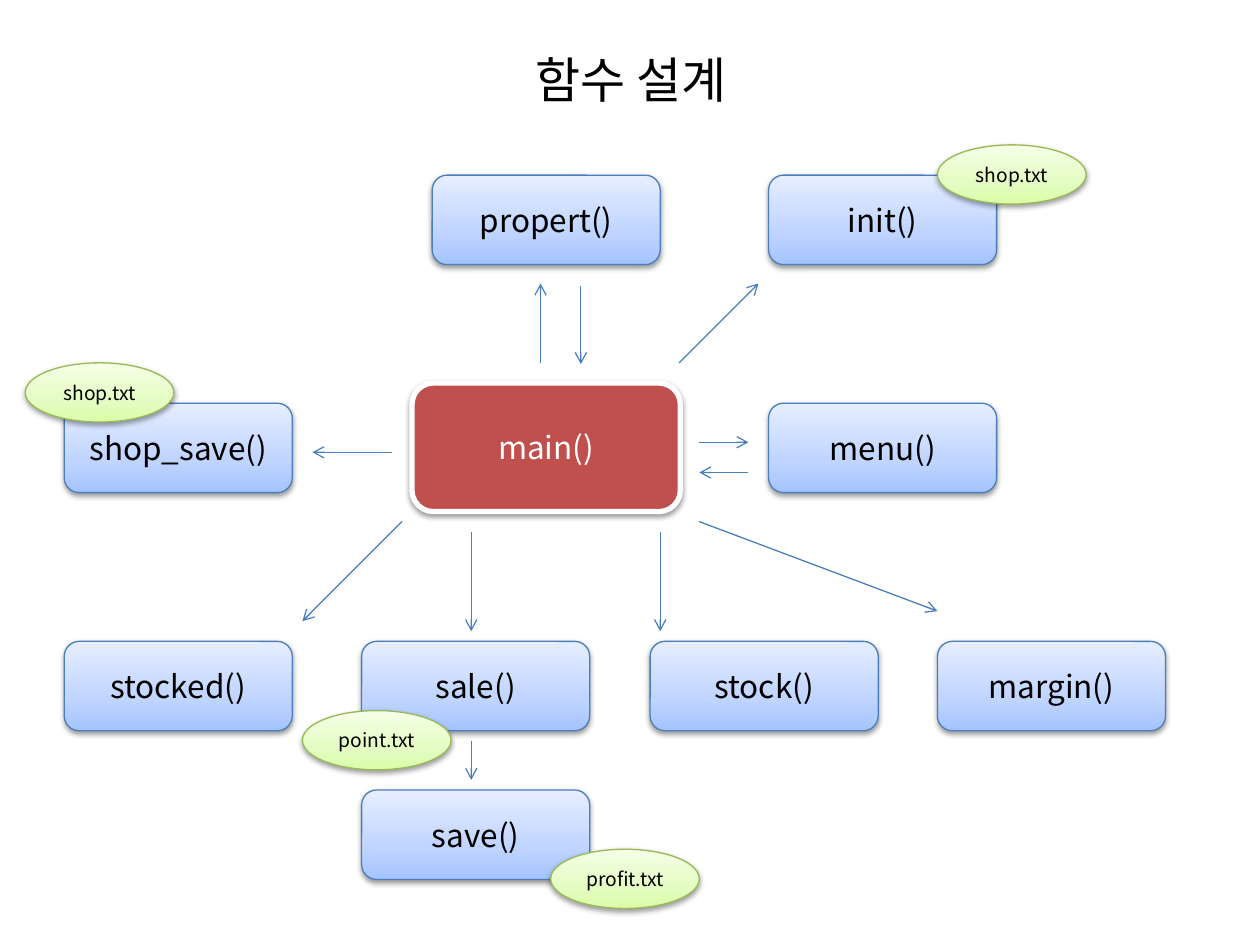
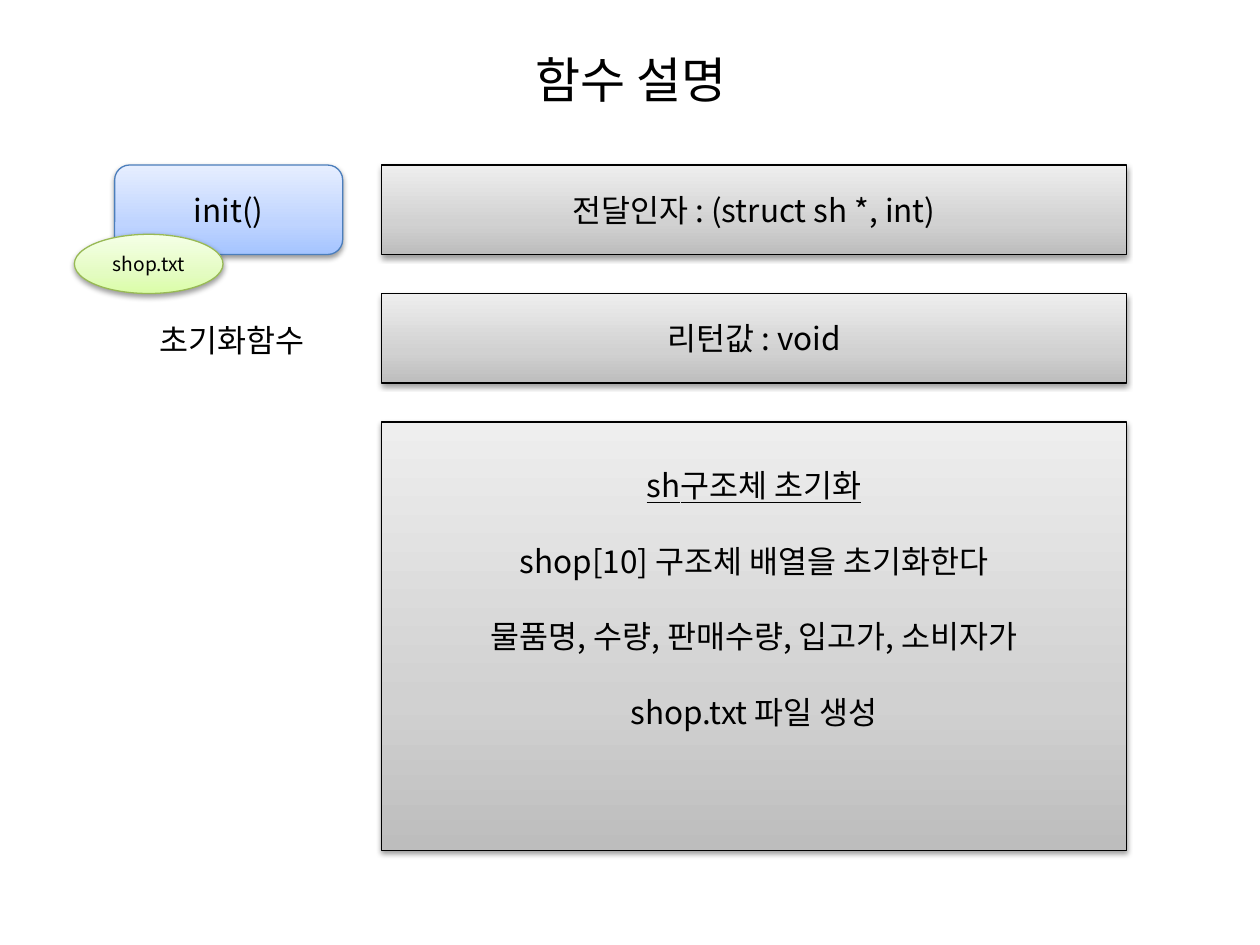
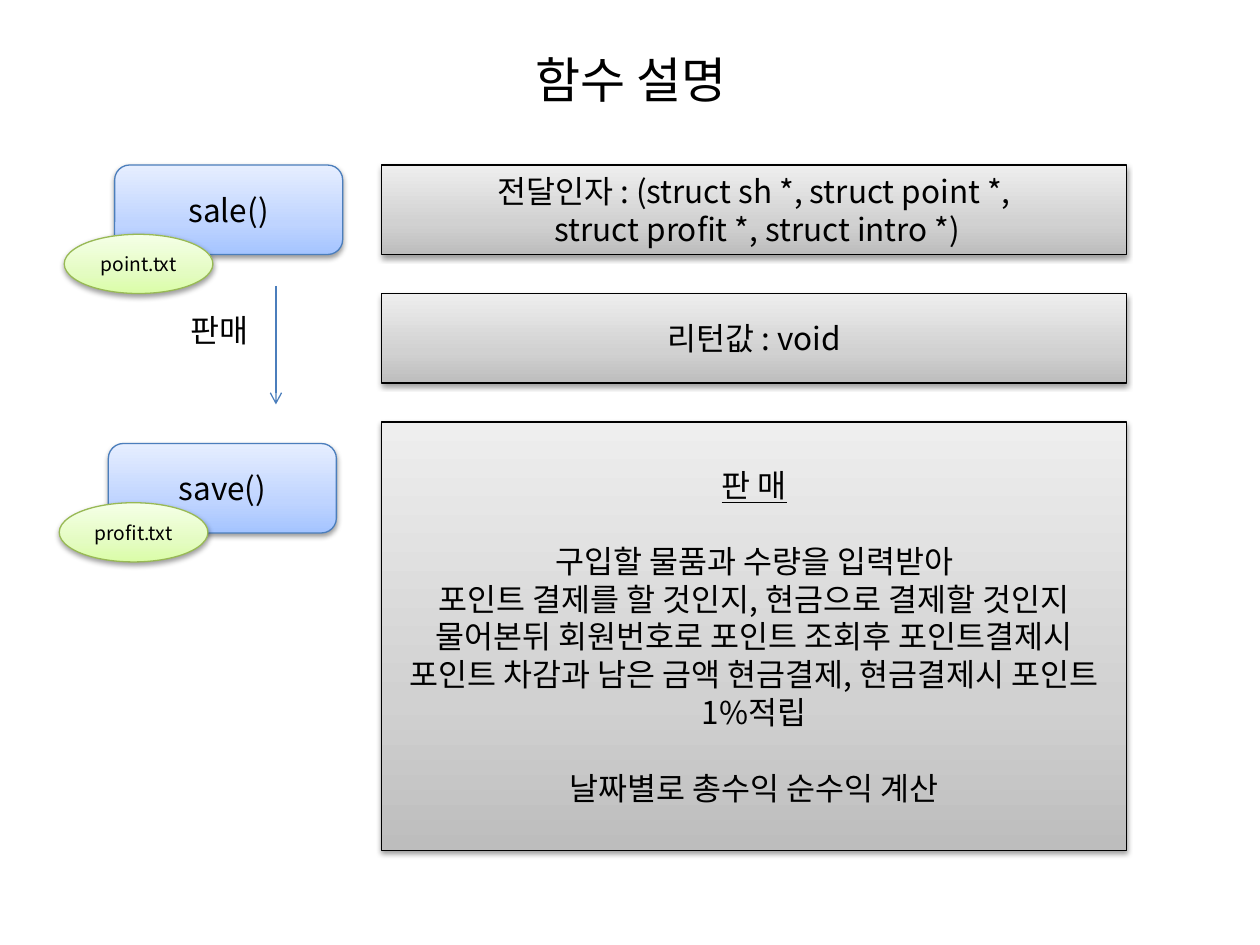
from copy import deepcopy
from dataclasses import dataclass

from lxml import etree
from pptx import Presentation
from pptx.dml.color import RGBColor
from pptx.enum import shapes, text
from pptx.oxml.ns import qn
from pptx.util import Inches, Pt

FONT = "Noto Sans CJK KR"
BLACK, WHITE, RED, BLUE_LINE = "000000", "FFFFFF", "C0504D", "4B7EBC"
BLUE = ("A4C4FF", "BFD4FF", "E6EEFF")
GREEN = ("DAFDA7", "E4FCC2", "F5FFE7")
GREY = ("BDBDBD", "D1D1D1", "EEEEEE")
STOP_POSITIONS = (0, 0.35, 1)
LINE_PITCH = Pt(21.6)
NODE_SIZE = (1.81, 0.71)
TAG_SIZE = (1.18, 0.47)
SHAPE = shapes.MSO_SHAPE


@dataclass
class Box:
    left: float
    top: float
    width: float
    height: float

    def inches(self):
        return [Inches(v) for v in (self.left, self.top, self.width, self.height)]

    def inner(self, dx, dy, width, height):
        """Box whose corner is offset from this box's corner."""
        return Box(self.left + dx, self.top + dy, width, height)


TITLE_BOX = Box(0.51, 0, 9, 1.25)


def rgb(value):
    return RGBColor.from_string(value)


def set_all(target, values):
    for name, value in values.items():
        setattr(target, name, value)


def add_span(para, words, size=18, color=BLACK, **extra):
    span = para.add_run()
    span.text = words
    set_all(span.font, {"name": FONT, "size": Pt(size), **extra})
    span.font.color.rgb = rgb(color)
    etree.SubElement(span.font._element, qn("a:ea"), typeface=FONT)


def write_centred(frame, words, **style):
    frame.vertical_anchor = text.MSO_ANCHOR.MIDDLE
    para = frame.paragraphs[0]
    para.alignment = text.PP_ALIGN.CENTER
    add_span(para, words, **style)


def fill_gradient(shape, colors):
    """Run three colours from the bottom edge to the top edge."""
    shape.fill.gradient()
    shape.fill.gradient_angle = 90
    stop_list = shape._element.spPr.find(qn("a:gradFill")).find(qn("a:gsLst"))
    stop_list.append(deepcopy(stop_list[0]))
    for stop, position, color in zip(shape.fill.gradient_stops, STOP_POSITIONS, colors):
        stop.position = position
        stop.color.rgb = rgb(color)


def add_shadow(shape):
    shape.shadow.inherit = False
    effects = shape._element.spPr.find(qn("a:effectLst"))
    shadow = etree.SubElement(effects, qn("a:outerShdw"), blurRad="40000", dist="20000",
                              dir="5400000", rotWithShape="0")
    color = etree.SubElement(shadow, qn("a:srgbClr"), val=BLACK)
    etree.SubElement(color, qn("a:alpha"), val="38000")


def add_raised(page, kind, box, fill, line, line_width=0.75):
    shape = page.shapes.add_shape(kind, *box.inches())
    if isinstance(fill, str):
        shape.fill.solid()
        shape.fill.fore_color.rgb = rgb(fill)
    else:
        fill_gradient(shape, fill)
    shape.line.color.rgb = rgb(line)
    shape.line.width = Pt(line_width)
    add_shadow(shape)
    return shape


def add_node(page, left, top, name, tag=None):
    """Function box; tag is (dx, dy, file name) relative to the box."""
    box = Box(left, top, *NODE_SIZE)
    node = add_raised(page, SHAPE.ROUNDED_RECTANGLE, box, BLUE, BLUE_LINE)
    write_centred(node.text_frame, name)
    if tag:
        dx, dy, file_name = tag
        oval = add_raised(page, SHAPE.OVAL, box.inner(dx, dy, *TAG_SIZE), GREEN, "98B955")
        oval.text_frame.word_wrap = False
        write_centred(oval.text_frame, file_name, size=11)


def add_arrow(page, x1, y1, x2, y2):
    arrow = page.shapes.add_connector(shapes.MSO_CONNECTOR.STRAIGHT,
                                      *[Inches(v) for v in (x1, y1, x2, y2)])
    arrow.line.color.rgb = rgb(BLUE_LINE)
    arrow.line.width = Pt(0.75)
    etree.SubElement(arrow.line._ln, qn("a:tailEnd"), type="arrow")
    etree.SubElement(arrow._element.spPr, qn("a:effectLst"))


def add_label(page, box, words):
    label = page.shapes.add_textbox(*box.inches())
    label.text_frame.word_wrap = False
    add_span(label.text_frame.paragraphs[0], words)


def add_panel(page, box, lines, gaps=(), heading=False, spare_lines=0):
    """Grey panel; gaps lists the lines followed by one line of space."""
    panel = add_raised(page, SHAPE.RECTANGLE, box, GREY, BLACK)
    frame = panel.text_frame
    set_all(frame, {"word_wrap": True, "vertical_anchor": text.MSO_ANCHOR.MIDDLE,
                    "margin_bottom": Inches(0.05) + spare_lines * LINE_PITCH})
    for index, words in enumerate(lines):
        para = frame.add_paragraph() if index else frame.paragraphs[0]
        set_all(para, {"alignment": text.PP_ALIGN.CENTER, "line_spacing": LINE_PITCH,
                       "space_after": LINE_PITCH if index in gaps else Pt(0)})
        add_span(para, words, underline=heading and index == 0)


def add_description(page, box, arguments, details, gaps, spare_lines=0):
    """Panels for the arguments, the return value and what the function does."""
    row = NODE_SIZE[1]
    pitch = 1.02
    add_panel(page, box.inner(0, 0, box.width, row), arguments)
    add_panel(page, box.inner(0, pitch, box.width, row), ["리턴값 : void"])
    add_panel(page, box.inner(0, 2 * pitch, box.width, box.height - 2 * pitch),
              details, gaps, True, spare_lines)


def add_page(deck, title):
    page = deck.slides.add_slide(deck.slide_layouts[5])
    holder = page.shapes.title
    set_all(holder, dict(zip(("left", "top", "width", "height"), TITLE_BOX.inches())))
    write_centred(holder.text_frame, title, size=28)
    return page


def build_design(deck):
    page = add_page(deck, "함수 설계")
    main_node = add_raised(page, SHAPE.ROUNDED_RECTANGLE, Box(3.27, 3.04, 2.13, 1.02),
                           RED, WHITE, 3)
    write_centred(main_node.text_frame, "main()", color=WHITE)

    top_row, middle_row, lower_row, bottom_row = 1.39, 3.2, 5.09, 6.27
    for node in (
        (3.43, top_row, "propert()"),
        (6.1, top_row, "init()", (1.34, -0.24, "shop.txt")),
        (0.51, middle_row, "shop_save()", (-0.31, -0.32, "shop.txt")),
        (6.1, middle_row, "menu()"),
        (0.51, lower_row, "stocked()"),
        (2.87, lower_row, "sale()", (-0.47, 0.55, "point.txt")),
        (5.16, lower_row, "stock()"),
        (7.44, lower_row, "margin()"),
        (2.87, bottom_row, "save()", (1.5, 0.47, "profit.txt")),
    ):
        add_node(page, *node)

    for ends in (
        (4.29, 2.88, 4.29, 2.25), (4.61, 2.27, 4.61, 2.89),
        (5.39, 2.88, 6.02, 2.25), (3.11, 3.59, 2.48, 3.59),
        (5.55, 3.51, 5.94, 3.51), (5.94, 3.75, 5.55, 3.75),
        (3.19, 4.14, 2.4, 4.93), (3.74, 4.22, 3.74, 5.01),
        (5.24, 4.22, 5.24, 5.01), (5.55, 4.14, 7.44, 4.85),
        (3.74, 5.88, 3.74, 6.19),
    ):
        add_arrow(page, *ends)


DESCRIPTION_BOX = Box(3.03, 1.31, 5.91, 5.44)


def build_init(deck):
    page = add_page(deck, "함수 설명")
    add_node(page, 0.91, 1.31, "init()", (-0.32, 0.55, "shop.txt"))
    add_label(page, Box(1.17, 2.5, 1.46, 0.4), "초기화함수")
    add_description(
        page, DESCRIPTION_BOX, ["전달인자 : (struct sh *, int)"],
        ["sh구조체 초기화", "shop[10] 구조체 배열을 초기화한다",
         "물품명, 수량, 판매수량, 입고가, 소비자가", "shop.txt 파일 생성"],
        gaps=(0, 1, 2), spare_lines=2)


def build_sale(deck):
    page = add_page(deck, "함수 설명")
    add_node(page, 0.91, 1.31, "sale()", (-0.4, 0.55, "point.txt"))
    add_node(page, 0.86, 3.52, "save()", (-0.39, 0.47, "profit.txt"))
    add_arrow(page, 2.19, 2.27, 2.19, 3.21)
    add_label(page, Box(1.41, 2.42, 0.71, 0.4), "판매")
    add_description(
        page, DESCRIPTION_BOX,
        ["전달인자 : (struct sh *, struct point *,", " struct profit *, struct intro *)"],
        ["판 매", "구입할 물품과 수량을 입력받아",
         "포인트 결제를 할 것인지, 현금으로 결제할 것인지 물어본뒤 회원번호로 포인트 "
         "조회후 포인트결제시 포인트 차감과 남은 금액 현금결제, 현금결제시 포인트 1%적립",
         "날짜별로 총수익 순수익 계산"],
        gaps=(0, 2))


def main():
    deck = Presentation()
    deck.slide_width, deck.slide_height = Inches(10), Inches(7.5)
    for build in (build_design, build_init, build_sale):
        build(deck)
    deck.save("out.pptx")


if __name__ == "__main__":
    main()
